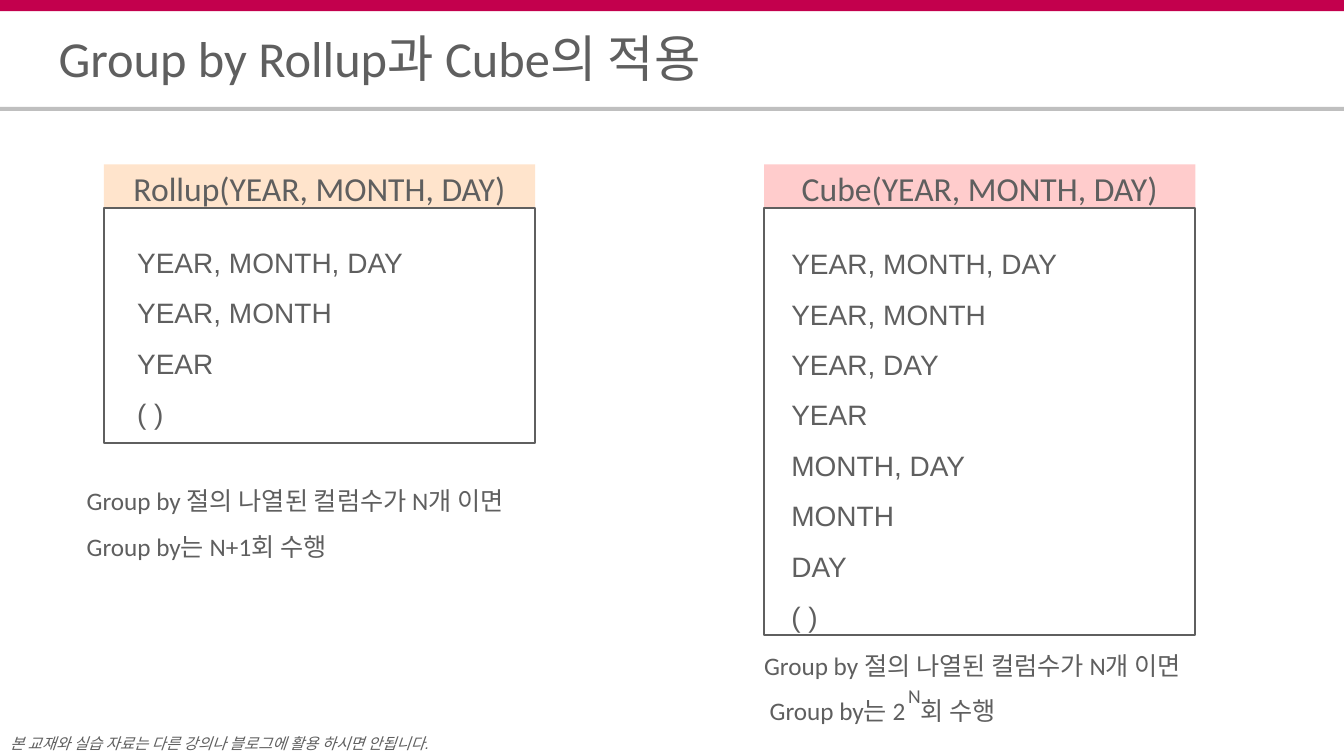
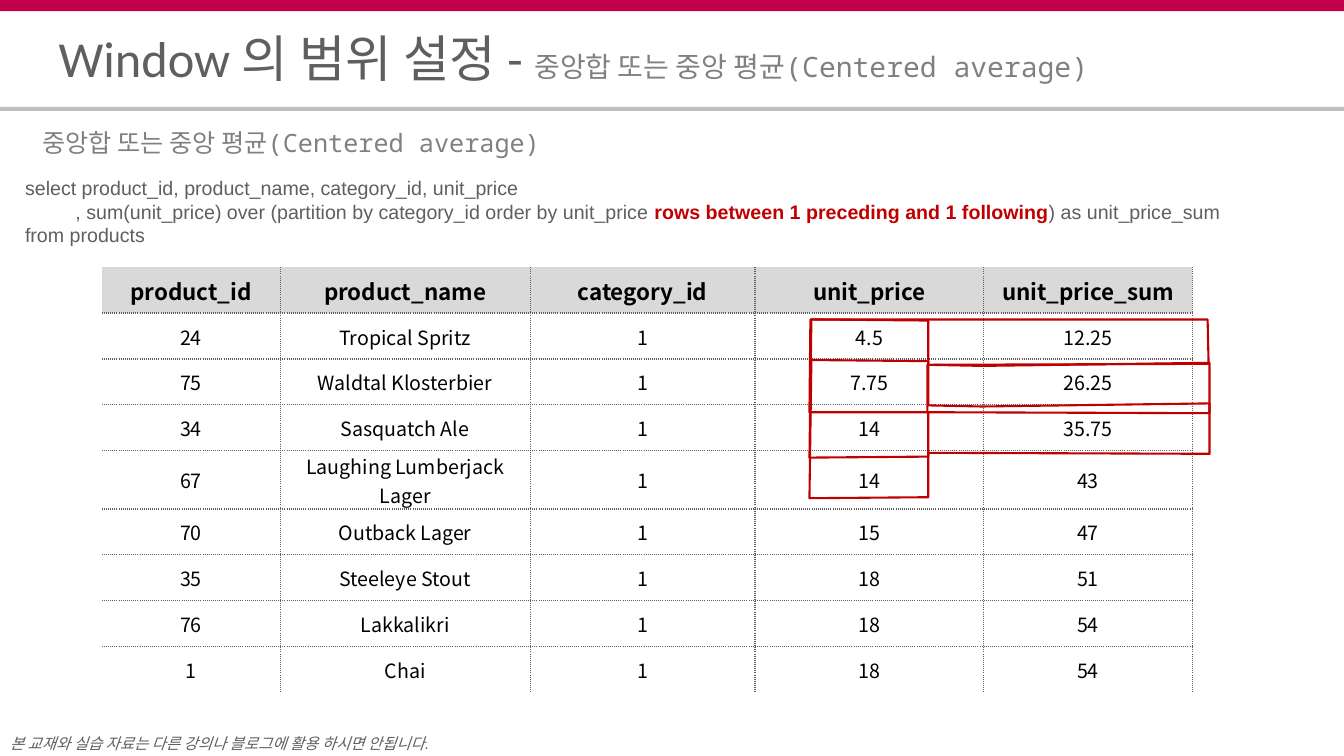
from dataclasses import dataclass
from typing import Optional

from lxml import etree
from pptx import Presentation
from pptx.dml.color import RGBColor
from pptx.enum import dml, shapes, text
from pptx.oxml import ns
from pptx.util import Pt

COLORS = {
    "crimson": "C3004D", "rule": "BFBFBF", "ink": "5F5F5F", "muted": "808080",
    "peach": "FFE4CC", "pink": "FFCCCC", "red": "C00000", "head": "D9D9D9",
    "black": "000000",
}
FOOTER = "본 교재와 실습 자료는 다른 강의나 블로그에 활용 하시면 안됩니다."
CENTERED = "중앙합 또는 중앙 평균(Centered average)"
TOP, MIDDLE = text.MSO_ANCHOR.TOP, text.MSO_ANCHOR.MIDDLE


@dataclass(frozen=True)
class Style:
    size: float
    font: str = "Calibri"
    color: str = "ink"
    spacing: float = 1.0
    align: text.PP_ALIGN = text.PP_ALIGN.LEFT
    bold: bool = False
    italic: bool = False


@dataclass(frozen=True)
class Box:
    left: float
    top: float
    width: float
    height: float

    def place(self, sp) -> None:
        sp.left, sp.top = Pt(self.left), Pt(self.top)
        sp.width, sp.height = Pt(self.width), Pt(self.height)

    def lengths(self) -> list:
        return [Pt(v) for v in (self.left, self.top, self.width, self.height)]


@dataclass(frozen=True)
class Panel:
    heading: str
    color: str
    left: float
    height: float
    list_left: float
    list_width: float
    groups: tuple


TITLE = Style(36, spacing=0.8)
SUBTITLE = Style(20, "Noto Sans Mono", "muted")
SECTION = Style(18, "Noto Sans Mono", "muted")
FOOT = Style(11, "Arial", spacing=1.5, italic=True)
HEADING = Style(24, spacing=1.1, align=text.PP_ALIGN.CENTER)
LIST = Style(20, "Arial", spacing=1.5)
NOTE = Style(18, spacing=1.5)
EXPONENT = Style(14, spacing=1.1)
CODE = Style(14, "Arial")
CLAUSE = Style(14, "Arial", "red", bold=True)
HEAD_CELL = Style(16, "Noto Sans CJK KR", "black", align=text.PP_ALIGN.CENTER, bold=True)
BODY_CELL = Style(14, "Noto Sans CJK KR", "black", align=text.PP_ALIGN.CENTER)

PANELS = (
    Panel("Rollup(YEAR, MONTH, DAY)", "peach", 74.2, 167.8, 97.9, 233.3,
          ("YEAR, MONTH, DAY", "YEAR, MONTH", "YEAR", "( )")),
    Panel("Cube(YEAR, MONTH, DAY)", "pink", 545.8, 305.3, 565.2, 288,
          ("YEAR, MONTH, DAY", "YEAR, MONTH", "YEAR, DAY", "YEAR",
           "MONTH, DAY", "MONTH", "DAY", "( )")),
)
PANEL_TOP, PANEL_WIDTH, HEADING_HEIGHT, LIST_LINE = 117.4, 308, 31, 36.36

COLUMNS = (127.4, 178.6, 160.6, 163.4, 149)
ROW_HEIGHT = 32.8
ROWS = (
    ("product_id", "product_name", "category_id", "unit_price", "unit_price_sum"),
    ("24", "Tropical Spritz", "1", "4.5", "12.25"),
    ("75", "Waldtal Klosterbier", "1", "7.75", "26.25"),
    ("34", "Sasquatch Ale", "1", "14", "35.75"),
    ("67", "Laughing Lumberjack Lager", "1", "14", "43"),
    ("70", "Outback Lager", "1", "15", "47"),
    ("35", "Steeleye Stout", "1", "18", "51"),
    ("76", "Lakkalikri", "1", "18", "54"),
    ("1", "Chai", "1", "18", "54"),
)

FIRST_WINDOW = ((578.9, 228.2), (578.2, 294.5), (662.4, 294.5),
                (662.4, 260.6), (863.3, 259.9), (862.6, 228.2))
NEXT_WINDOW = ((579.6, 228.2), (578.2, 326.9), (663.1, 326.2), (663.1, 294.5),
               (864, 295.2), (864, 259.2), (701.3, 261.4), (663.1, 260.6), (663.1, 229))
WINDOW_STEP = 29


def rgb(name: str) -> RGBColor:
    return RGBColor.from_string(COLORS[name])


def set_font(font, style: Style) -> None:
    font.size, font.name = Pt(style.size), style.font
    font.bold, font.italic = style.bold, style.italic
    font.color.rgb = rgb(style.color)


def format_paragraph(p, style: Style) -> None:
    p.alignment, p.line_spacing = style.align, style.spacing
    p.space_before = p.space_after = Pt(0)
    set_font(p.font, style)


def write(tf, lines, style: Style, anchor=TOP, inset: Optional[float] = 0, wrap: bool = True) -> None:
    tf.auto_size = text.MSO_AUTO_SIZE.NONE
    tf.word_wrap, tf.vertical_anchor = wrap, anchor
    if inset is not None:
        tf.margin_left = tf.margin_right = tf.margin_top = tf.margin_bottom = Pt(inset)
    for i, line in enumerate(lines):
        p = tf.add_paragraph() if i else tf.paragraphs[0]
        p.add_run().text = line
        format_paragraph(p, style)


def add_text(s, box: Box, lines, style: Style, **options):
    sp = s.shapes.add_textbox(*box.lengths())
    write(sp.text_frame, lines, style, **options)
    return sp.text_frame


def add_rect(s, box: Box, fill: Optional[str] = None, line: Optional[str] = None):
    sp = s.shapes.add_shape(shapes.MSO_SHAPE.RECTANGLE, *box.lengths())
    paint(sp, fill, line)
    return sp


def paint(sp, fill: Optional[str], line: Optional[str]) -> None:
    sp.shadow.inherit = False
    if fill:
        sp.fill.solid()
        sp.fill.fore_color.rgb = rgb(fill)
    else:
        sp.fill.background()
    if line:
        sp.line.color.rgb = rgb(line)
        sp.line.width = Pt(1.5)
    else:
        sp.line.fill.background()


def add_slide(prs, layout: int, title: str):
    s = prs.slides.add_slide(prs.slide_layouts[layout])
    add_rect(s, Box(0, 0, 960, 8), "crimson")
    add_rect(s, Box(0, 76.3, 960, 2.9), "rule")
    add_text(s, Box(7.2, 517.7, 346.3, 22), [FOOTER], FOOT)
    Box(41.8, 23.8, 876.2, 41.8).place(s.shapes.title)
    write(s.shapes.title.text_frame, [title], TITLE, MIDDLE)
    return s


def add_panel(s, panel: Panel, body) -> None:
    Box(panel.list_left, 162.7, panel.list_width, LIST_LINE * len(panel.groups)).place(body)
    write(body.text_frame, panel.groups, LIST, MIDDLE)
    for p in body.text_frame.paragraphs:
        pPr = p._p.get_or_add_pPr()
        pPr.set("marL", "0")
        pPr.set("indent", "0")
        pPr.insert_element_before(etree.Element(ns.qn("a:buNone")), "a:tabLst", "a:defRPr", "a:extLst")
    heading = add_rect(s, Box(panel.left, PANEL_TOP, PANEL_WIDTH, HEADING_HEIGHT), panel.color)
    write(heading.text_frame, [panel.heading], HEADING)
    add_rect(s, Box(panel.left, PANEL_TOP + HEADING_HEIGHT, PANEL_WIDTH, panel.height), line="ink")


def add_tab(p, position: float, indent: float) -> None:
    pPr = p._p.get_or_add_pPr()
    pPr.set("marL", str(Pt(indent)))
    pPr.set("indent", "0")
    tabs = etree.Element(ns.qn("a:tabLst"))
    etree.SubElement(tabs, ns.qn("a:tab"), pos=str(Pt(position)), algn="l")
    pPr.insert_element_before(tabs, "a:defRPr", "a:extLst")


def set_borders(cell, visible: dict) -> None:
    tcPr = cell._tc.get_or_add_tcPr()
    for i, (edge, shown) in enumerate(visible.items()):
        ln = etree.Element(ns.qn(f"a:{edge}"), w=str(Pt(1)))
        if shown:
            fill = etree.SubElement(ln, ns.qn("a:solidFill"))
            etree.SubElement(fill, ns.qn("a:srgbClr"), val=COLORS["ink"])
            etree.SubElement(ln, ns.qn("a:prstDash"), val="sysDot")
        else:
            etree.SubElement(ln, ns.qn("a:noFill"))
        tcPr.insert(i, ln)


def add_price_table(s) -> None:
    box = Box(72.7, 190.8, sum(COLUMNS), ROW_HEIGHT * len(ROWS))
    table = s.shapes.add_table(len(ROWS), len(COLUMNS), *box.lengths()).table
    table.first_row = table.horz_banding = False
    for column, width in zip(table.columns, COLUMNS):
        column.width = Pt(width)
    for r, values in enumerate(ROWS):
        table.rows[r].height = Pt(ROW_HEIGHT)
        for c, value in enumerate(values):
            cell = table.cell(r, c)
            cell.vertical_anchor = MIDDLE
            cell.margin_left = cell.margin_right = cell.margin_top = Pt(0.7)
            cell.margin_bottom = Pt(0)
            p = cell.text_frame.paragraphs[0]
            p.add_run().text = value
            format_paragraph(p, BODY_CELL if r else HEAD_CELL)
            if r:
                cell.fill.background()
            else:
                cell.fill.solid()
                cell.fill.fore_color.rgb = rgb("head")
            set_borders(cell, {"lnL": c > 0, "lnR": True, "lnT": r > 0, "lnB": r < len(ROWS) - 1})


def add_window(s, points, shift: float = 0) -> None:
    start, *rest = [(Pt(x), Pt(y + shift)) for x, y in points]
    builder = s.shapes.build_freeform(*start)
    builder.add_line_segments(rest, close=True)
    paint(builder.convert_to_shape(), None, "red")


def build_rollup_slide(prs) -> None:
    s = add_slide(prs, 3, "Group by Rollup과 Cube의 적용")
    for panel, idx in zip(PANELS, (1, 2)):
        add_panel(s, panel, s.placeholders[idx])
    add_text(s, Box(61.9, 336.2, 320.4, 34.6),
             ["Group by 절의 나열된 컬럼수가 N개 이면 Group by는 N+1회 수행"], NOTE)
    tf = add_text(s, Box(545.8, 453.6, 352.8, 66.2),
                  ["Group by 절의 나열된 컬럼수가 N개 이면", "Group by는 2\t회 수행"], NOTE)
    add_tab(tf.paragraphs[1], 131, 4)
    add_text(s, Box(648.7, 486.7, 20.9, 15.1), ["N"], EXPONENT)


def build_window_slide(prs) -> None:
    s = add_slide(prs, 5, "Window 의 범위 설정 - ")
    r = s.shapes.title.text_frame.paragraphs[0].add_run()
    r.text = CENTERED
    set_font(r.font, SUBTITLE)
    add_price_table(s)
    tf = add_text(s, Box(10.8, 122.4, 943, 58.3), [
        "select product_id, product_name, category_id, unit_price",
        "\t, sum(unit_price) over (partition by category_id order by unit_price ",
        "from products"], CODE, inset=None)
    p = tf.paragraphs[1]
    r = p.add_run()
    r.text = "rows between 1 preceding and 1 following"
    set_font(r.font, CLAUSE)
    p.add_run().text = ") as unit_price_sum"
    add_window(s, FIRST_WINDOW)
    for i in range(2):
        add_window(s, NEXT_WINDOW, i * WINDOW_STEP)
    add_text(s, Box(23, 87.1, 387.4, 28.8), [CENTERED], SECTION, inset=None, wrap=False)


def main() -> None:
    prs = Presentation()
    prs.slide_width, prs.slide_height = Pt(960), Pt(540)
    build_rollup_slide(prs)
    build_window_slide(prs)
    prs.save("out.pptx")


if __name__ == "__main__":
    main()
